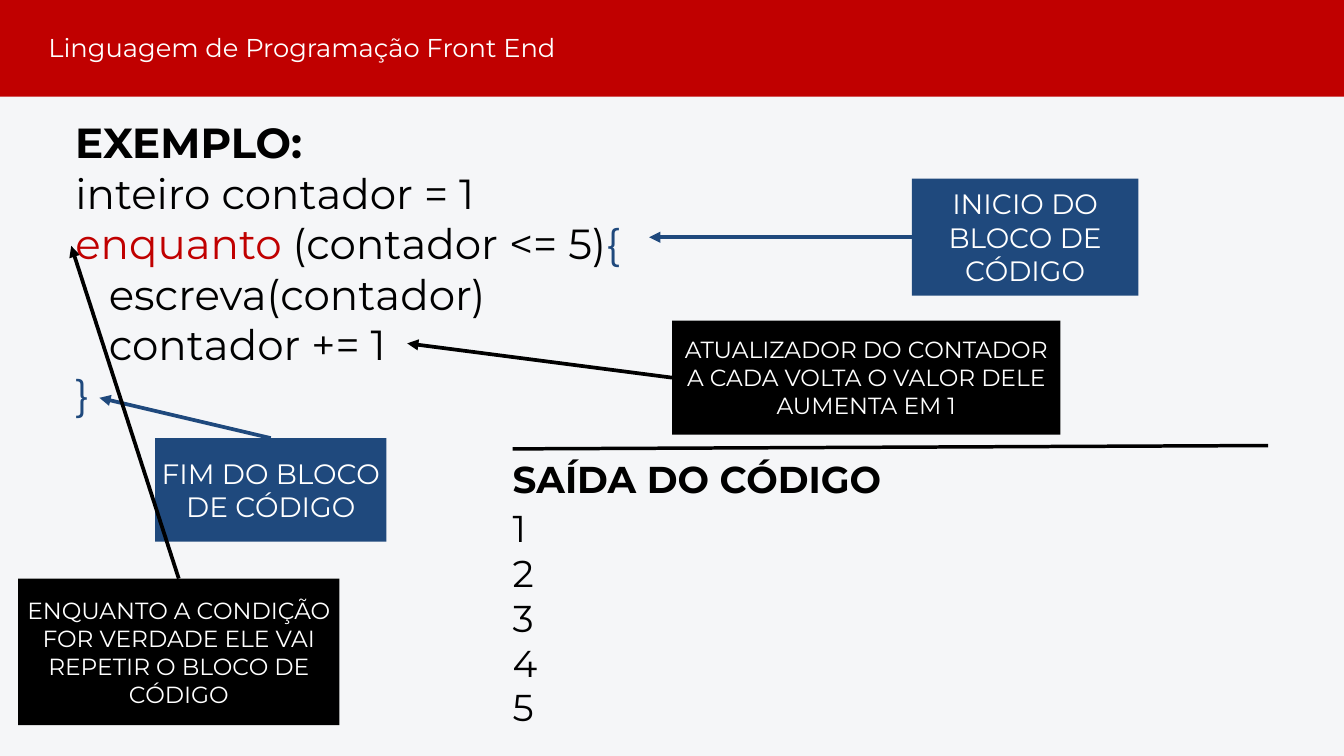
from lxml import etree
from pptx import Presentation
from pptx.dml.color import RGBColor
from pptx.enum.shapes import MSO_CONNECTOR as CONN, MSO_SHAPE as SHAPE
from pptx.enum.text import MSO_ANCHOR as ANCHOR, PP_ALIGN as ALIGN
from pptx.oxml.ns import qn
from pptx.util import Inches, Pt

rgb = RGBColor.from_string
RED, BLUE, BLACK, WHITE = "C00000", "1F497D", "000000", "FFFFFF"


def write(tf, lines, size, align, inset=0, bold=False):
    tf.word_wrap = True
    tf.margin_left = tf.margin_right = Inches(inset)
    tf.margin_top = tf.margin_bottom = Inches(inset)
    for i, runs in enumerate(lines):
        p = tf.paragraphs[0] if i == 0 else tf.add_paragraph()
        p.alignment = align
        p.line_spacing = Pt(round(size * 1.2, 1))
        p.font.name = "Montserrat"
        p.font.size = Pt(size)
        p.font.bold = bold
        for text, color in runs:
            r = p.add_run()
            r.text = text
            r.font.name = "Montserrat"
            r.font.size = Pt(size)
            r.font.bold = bold
            r.font.color.rgb = rgb(color)


def draw_line(start, end, color, width, arrow=True):
    x1, y1, x2, y2 = (Inches(v) for v in start + end)
    c = s.shapes.add_connector(CONN.STRAIGHT, x1, y1, x2, y2)
    c.line.color.rgb = rgb(color)
    c.line.width = Pt(width)
    if arrow:
        ln = c.line._get_or_add_ln()
        etree.SubElement(ln, qn("a:tailEnd"), type="triangle")
    etree.SubElement(c._element.spPr, qn("a:effectLst"))


prs = Presentation()
prs.slide_width = Inches(20)
prs.slide_height = Inches(11.25)
s = prs.slides.add_slide(prs.slide_layouts[6])
s.background.fill.solid()
s.background.fill.fore_color.rgb = rgb("F5F6F8")

draw_line((18.87, 6.63), (7.63, 6.68), BLACK, 3.75, arrow=False)

boxes = [
    (0, 0, 20, 1.44, RED, 27.6, []),
    (13.57, 2.66, 3.37, 1.74, BLUE, 30, ["INICIO DO BLOCO DE CÓDIGO"]),
    (2.31, 6.52, 3.44, 1.54, BLUE, 30, ["FIM DO BLOCO DE CÓDIGO"]),
    (0.27, 8.61, 4.78, 2.18, BLACK, 25,
     ["ENQUANTO A CONDIÇÃO FOR VERDADE ELE VAI REPETIR O BLOCO DE CÓDIGO"]),
    (10, 4.77, 5.78, 1.7, BLACK, 25,
     ["ATUALIZADOR DO CONTADOR", "A CADA VOLTA O VALOR DELE AUMENTA EM 1"]),
]
for x, y, w, h, color, size, lines in boxes:
    sp = s.shapes.add_shape(SHAPE.RECTANGLE, Inches(x), Inches(y), Inches(w), Inches(h))
    sp.shadow.inherit = False
    sp.fill.solid()
    sp.fill.fore_color.rgb = rgb(color)
    sp.line.fill.background()
    sp.text_frame.vertical_anchor = ANCHOR.MIDDLE
    write(sp.text_frame, [[(t, WHITE)] for t in lines], size, ALIGN.CENTER, inset=0.06)

arrows = [
    ((13.57, 3.53), (9.66, 3.53), BLUE),
    ((4.03, 6.52), (1.48, 5.92), BLUE),
    ((2.66, 8.61), (1.06, 3.66), BLACK),
    ((10, 5.62), (6.06, 5.11), BLACK),
]
for start, end, color in arrows:
    draw_line(start, end, color, 4)

code = [
    [("inteiro contador = 1", BLACK)],
    [("enquanto ", RED), ("(contador <= 5)", BLACK), ("{", BLUE)],
    [("\tescreva(contador)", BLACK)],
    [("\tcontador += 1", BLACK)],
    [("}", BLUE)],
]
output = [[(str(n), BLACK)] for n in range(1, 6)]
texts = [
    (0.72, 0.48, 8.29, 0.47, [[("Linguagem de Programação Front End", WHITE)]], 27.6, ALIGN.LEFT, False),
    (1.12, 1.73, 6.2, 0.75, [[("EXEMPLO:", BLACK)]], 45, ALIGN.LEFT, True),
    (1.12, 2.49, 16.58, 3.75, code, 45, ALIGN.JUSTIFY, False),
    (7.63, 6.79, 6.2, 0.67, [[("SAÍDA DO CÓDIGO", BLACK)]], 40, ALIGN.LEFT, True),
    (7.63, 7.52, 6.77, 3.27, output, 40, ALIGN.JUSTIFY, False),
]
for x, y, w, h, lines, size, align, bold in texts:
    sp = s.shapes.add_textbox(Inches(x), Inches(y), Inches(w), Inches(h))
    write(sp.text_frame, lines, size, align, bold=bold)

prs.save("out.pptx")
